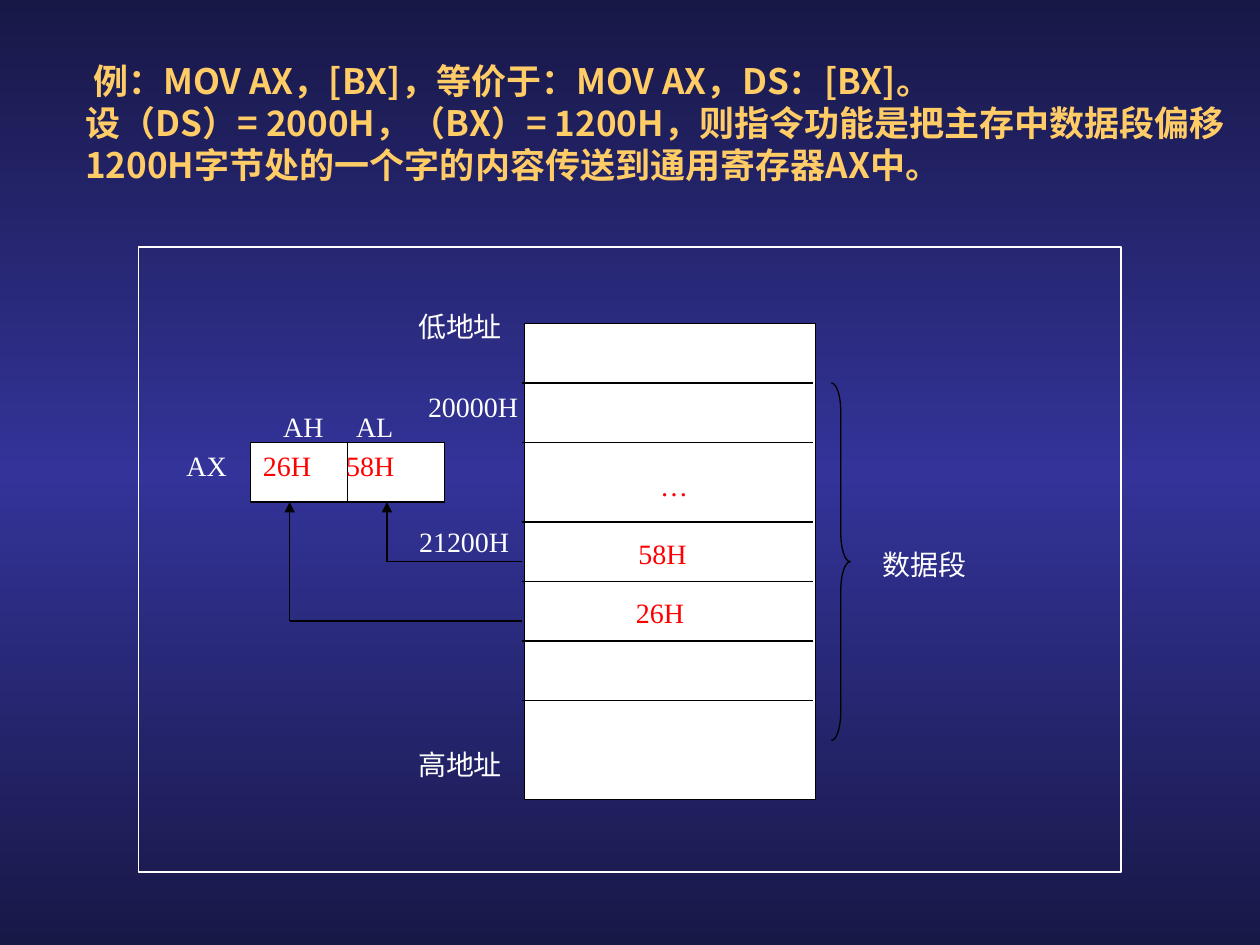
from copy import deepcopy
from itertools import accumulate

from pptx import Presentation
from pptx.dml.color import RGBColor
from pptx.enum.dml import MSO_THEME_COLOR
from pptx.enum.shapes import MSO_CONNECTOR, MSO_SHAPE
from pptx.oxml.ns import qn
from pptx.util import Cm, Pt

# Content
TITLE = [
    " 例：MOV AX，[BX]，等价于：MOV AX，DS：[BX]。",
    "设（DS）= 2000H，（BX）= 1200H，则指令功能是把主存中数据段"
    "偏移1200H字节处的一个字的内容传送到通用寄存器AX中。",
]
CJK, SERIF = "Noto Sans CJK SC", "Times New Roman"
WHITE, BLACK, RED, GOLD = "FFFFFF", "000000", "FF0000", "FFCC66"
NAVY, BLUE = "181847", "333399"

# Each label: text, left, top (cm)
LABELS = [
    ("AX", 3.51, 8.92), ("AH", 5.46, 8.13), ("AL", 6.93, 8.13),
    ("低地址", 8.18, 6.12), ("高地址", 8.18, 14.94),
    ("20000H", 8.38, 7.72), ("21200H", 8.2, 10.44), ("数据段", 17.55, 10.92),
]
VALUES = [
    ("26H", 5.05, 8.92), ("58H", 6.73, 8.92), ("…", 13.06, 9.32),
    ("58H", 12.62, 10.69), ("26H", 12.57, 11.89),
]

# Geometry (cm)
CELL = 1.2
MEMORY_LEFT, MEMORY_TOP, MEMORY_WIDTH = 10.57, 6.52, 5.87
ROW_HEIGHTS = [CELL, CELL, 1.6, CELL, CELL, CELL, 2.0]
LINE_LEFT, LINE_RIGHT = 10.52, 16.38
REGISTER_LEFT, REGISTER_TOP, REGISTER_WIDTH = 5.05, 8.92, 3.91
ARROW_DROP = 0.8  # from the top of a memory row to its arrow

presentation = Presentation()
presentation.slide_width, presentation.slide_height = Cm(25.4), Cm(19.05)
slide = presentation.slides.add_slide(presentation.slide_layouts[6])


def color(value):
    return RGBColor.from_string(value)


def add_text(paragraphs, left, top, width=2.5, height=CELL, *, size=16,
             font=SERIF, fill=WHITE, bold=False, spacing=None):
    box = slide.shapes.add_textbox(Cm(left), Cm(top), Cm(width), Cm(height))
    frame = box.text_frame
    frame.word_wrap = True
    frame.text = "\n".join(paragraphs)
    for paragraph in frame.paragraphs:
        if spacing:
            paragraph.line_spacing = Pt(spacing)
        run_font = paragraph.runs[0].font
        run_font.size, run_font.bold, run_font.name = Pt(size), bold, font
        run_font.color.rgb = color(fill)
        east_asian = run_font._element.makeelement(qn("a:ea"), {"typeface": CJK})
        run_font._element.find(qn("a:latin")).addnext(east_asian)


def add_outline(kind, left, top, width, height, line=BLACK, fill=None):
    shape = slide.shapes.add_shape(kind, Cm(left), Cm(top), Cm(width), Cm(height))
    shape.shadow.inherit = False
    shape.line.color.rgb, shape.line.width = color(line), Pt(0.75)
    if fill:
        shape.fill.solid()
        shape.fill.fore_color.rgb = color(fill)
    else:
        shape.fill.background()
    return shape


def add_line(x1, y1, x2, y2, arrow=False):
    connector = slide.shapes.add_connector(
        MSO_CONNECTOR.STRAIGHT, Cm(x1), Cm(y1), Cm(x2), Cm(y2))
    connector.line.color.rgb, connector.line.width = color(BLACK), Pt(0.75)
    properties = connector._element.spPr
    if arrow:
        line = connector.line._get_or_add_ln()
        line.append(line.makeelement(qn("a:tailEnd"), {"type": "triangle"}))
    properties.append(properties.makeelement(qn("a:effectLst"), {}))


# Background: dark, bright, dark from top to bottom
background = slide.background.fill
background.gradient()
background.gradient_angle = 90
stop_list = slide.element.find(".//" + qn("a:gsLst"))
stop_list.insert(1, deepcopy(stop_list[0]))
for stop, position, value in zip(background.gradient_stops, (0, 0.5, 1), (NAVY, BLUE, NAVY)):
    stop.position = position
    stop.color.theme_color = MSO_THEME_COLOR.ACCENT_1
    stop.color.rgb = color(value)

# Title and frame
add_text(TITLE, 1.47, 1.07, 23.93, 2.79, size=20, font=CJK, fill=GOLD,
         bold=True, spacing=24)
add_outline(MSO_SHAPE.RECTANGLE, 2.79, 4.98, 19.81, 12.6, line=WHITE)

# Memory column with its row lines
add_outline(MSO_SHAPE.RECTANGLE, MEMORY_LEFT, MEMORY_TOP, MEMORY_WIDTH,
            sum(ROW_HEIGHTS), fill=WHITE)
row_tops = list(accumulate(ROW_HEIGHTS[:-1], initial=MEMORY_TOP))
for row_top in row_tops[1:]:
    add_line(LINE_LEFT, row_top, LINE_RIGHT, row_top)

# Register AX, split into AH and AL
register_middle = REGISTER_LEFT + REGISTER_WIDTH / 2
register_bottom = REGISTER_TOP + CELL
add_outline(MSO_SHAPE.RECTANGLE, REGISTER_LEFT, REGISTER_TOP, REGISTER_WIDTH,
            CELL, fill=WHITE)
add_line(register_middle, REGISTER_TOP, register_middle, register_bottom)

# Arrows from the two memory bytes to AL and AH
for arrow_x, row in [(7.8, 3), (5.84, 4)]:
    arrow_y = row_tops[row] + ARROW_DROP
    add_line(LINE_LEFT, arrow_y, arrow_x, arrow_y)
    add_line(arrow_x, arrow_y, arrow_x, register_bottom, arrow=True)

# Data segment brace
brace = add_outline(MSO_SHAPE.RIGHT_BRACE, 16.76, row_tops[1], 0.38, 7.21)
brace.adjustments[0], brace.adjustments[1] = 1.546, 0.5

# Labels and values
for items, fill in [(LABELS, WHITE), (VALUES, RED)]:
    for text, left, top in items:
        add_text([text], left, top, fill=fill)

presentation.save("out.pptx")
